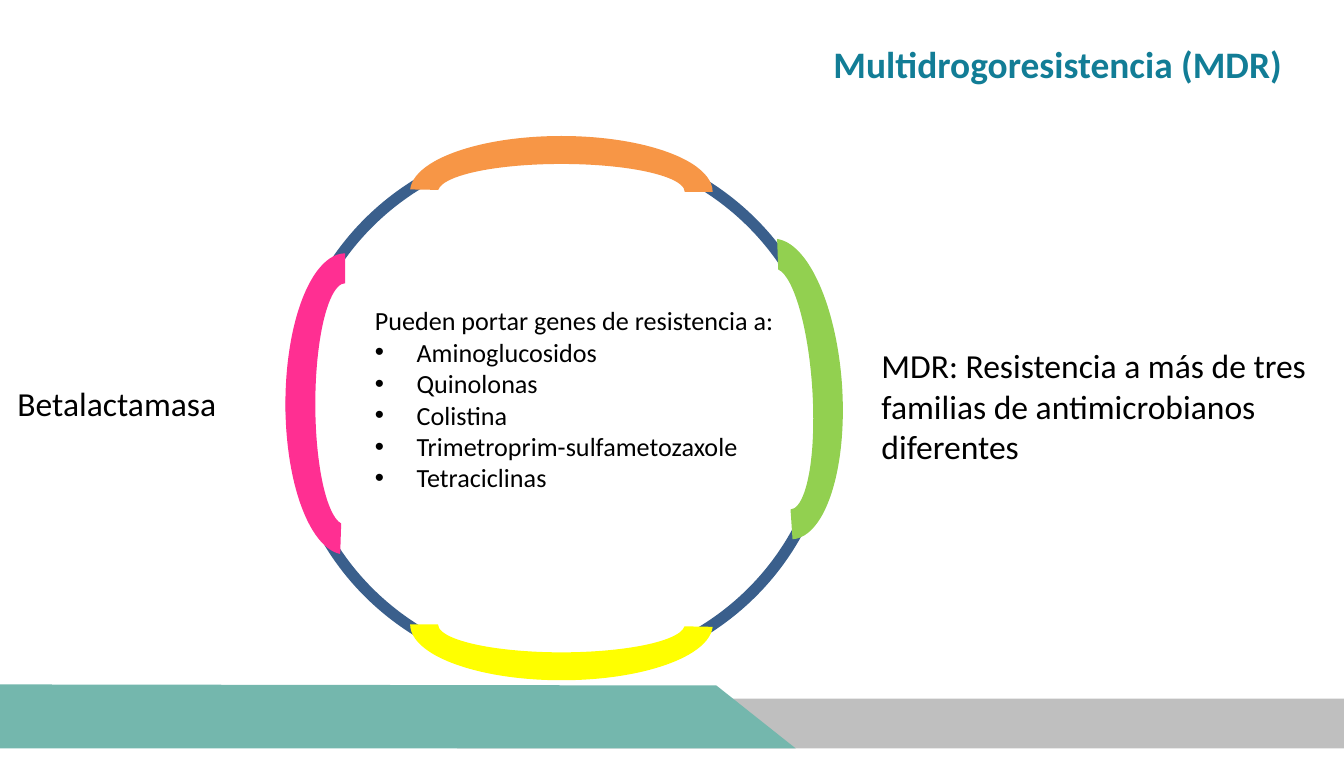
from pptx import Presentation
from pptx.dml.color import RGBColor as RGB
from pptx.enum.shapes import MSO_SHAPE as Shape
from pptx.enum.text import MSO_ANCHOR as Anchor, MSO_AUTO_SIZE as Fit, PP_ALIGN as Align
from pptx.oxml.ns import qn
from pptx.util import Cm, Pt
from lxml.etree import SubElement as Sub

BLACK = RGB(0x00, 0x00, 0x00)
TITLE = RGB(0x12, 0x7D, 0x96)
GRAY = RGB(0xBF, 0xBF, 0xBF)
TEAL = RGB(0x74, 0xB7, 0xAD)
BLUE = RGB(0x3A, 0x5F, 0x8C)
ORANGE = RGB(0xF7, 0x96, 0x46)
YELLOW = RGB(0xFF, 0xFF, 0x00)
GREEN = RGB(0x92, 0xD0, 0x50)
PINK = RGB(0xFF, 0x2F, 0x92)

DRUGS = ["Aminoglucosidos", "Quinolonas", "Colistina",
         "Trimetroprim-sulfametozaxole", "Tetraciclinas"]
# Place, turn, start angle and colour of each gene on the ring
GENES = [
    ((7.75, 2.57, 5.72, 2.11), 0, 108.55, ORANGE),
    ((7.75, 10.74, 5.72, 2.11), 180, 108.55, YELLOW),
    ((11.94, 6.22, 5.69, 2.26), 86.1, 109.15, GREEN),
    ((3.68, 6.5, 5.69, 2.26), 270, 109.15, PINK),
]


def paint(shape, color):
    shape.shadow.inherit = False
    shape.fill.solid()
    shape.fill.fore_color.rgb = color
    shape.line.fill.background()


def add_shape(slide, kind, box, color):
    shape = slide.shapes.add_shape(kind, *map(Cm, box))
    paint(shape, color)
    return shape


def add_footer(slide):
    add_shape(slide, Shape.RECTANGLE, (8.64, 13.2, 16.76, 0.94), GRAY)
    form = slide.shapes.build_freeform(Cm(0), Cm(12.93))
    ends = [(13.54, 12.95), (15.04, 14.14), (0, 14.14)]
    form.add_line_segments([(Cm(x), Cm(y)) for x, y in ends])
    paint(form.convert_to_shape(), TEAL)


def add_ring(slide):
    ring = add_shape(slide, Shape.OVAL, (5.51, 2.72, 10.16, 9.96), BLUE)
    ring.fill.background()
    ring.line.color.rgb = BLUE
    ring.line.width = Pt(6)


def add_gene(slide, box, turn, start, color):
    arc = add_shape(slide, Shape.BLOCK_ARC, box, color)
    arc.rotation = turn
    for i, value in enumerate((start, 0, 0.25)):
        arc.adjustments[i] = value


def place(shape, box):
    shape.left, shape.top, shape.width, shape.height = map(Cm, box)


def style(frame, size, color=BLACK, bold=False, align=Align.LEFT):
    frame.word_wrap = True
    frame.auto_size = Fit.NONE
    for para in frame.paragraphs:
        para.alignment = align
        para.space_before = Pt(0)
        for run in para.runs:
            font = run.font
            font.name, font.size, font.bold = "Calibri", Pt(size), bold
            font.color.rgb = color


def set_bullet(para, shown):
    props = para._p.get_or_add_pPr()
    indent = Cm(0.79) if shown else 0
    props.set("marL", str(indent))
    props.set("indent", str(-indent))
    if shown:
        Sub(props, qn("a:buFont")).set("typeface", "Arial")
        Sub(props, qn("a:buChar")).set("char", "•")
    else:
        Sub(props, qn("a:buNone"))


def fill_title(slide):
    title = slide.shapes.title
    place(title, (14.99, 0.64, 10, 1.12))
    title.text_frame.text = "Multidrogoresistencia (MDR)"
    style(title.text_frame, 20, TITLE, True, Align.CENTER)


def fill_list(slide):
    body = slide.placeholders[1]
    place(body, (6.83, 5.63, 8.26, 3.81))
    frame = body.text_frame
    frame.vertical_anchor = Anchor.TOP
    frame.text = "\n".join(["Pueden portar genes de resistencia a:"] + DRUGS)
    for i, para in enumerate(frame.paragraphs):
        set_bullet(para, i > 0)
    style(frame, 14)


def add_label(slide, box, text):
    label = slide.shapes.add_textbox(*map(Cm, box))
    label.text_frame.text = text
    style(label.text_frame, 18)


def main():
    deck = Presentation()
    deck.slide_width, deck.slide_height = Cm(25.4), Cm(14.3)
    slide = deck.slides.add_slide(deck.slide_layouts[1])
    add_footer(slide)
    add_ring(slide)
    for gene in GENES:
        add_gene(slide, *gene)
    fill_title(slide)
    fill_list(slide)
    add_label(slide, (0.08, 7.11, 5.08, 1.02), "Betalactamasa")
    add_label(slide, (16.41, 6.4, 8.97, 2.57),
              "MDR: Resistencia a más de tres familias de antimicrobianos diferentes")
    deck.save("out.pptx")


if __name__ == "__main__":
    main()
